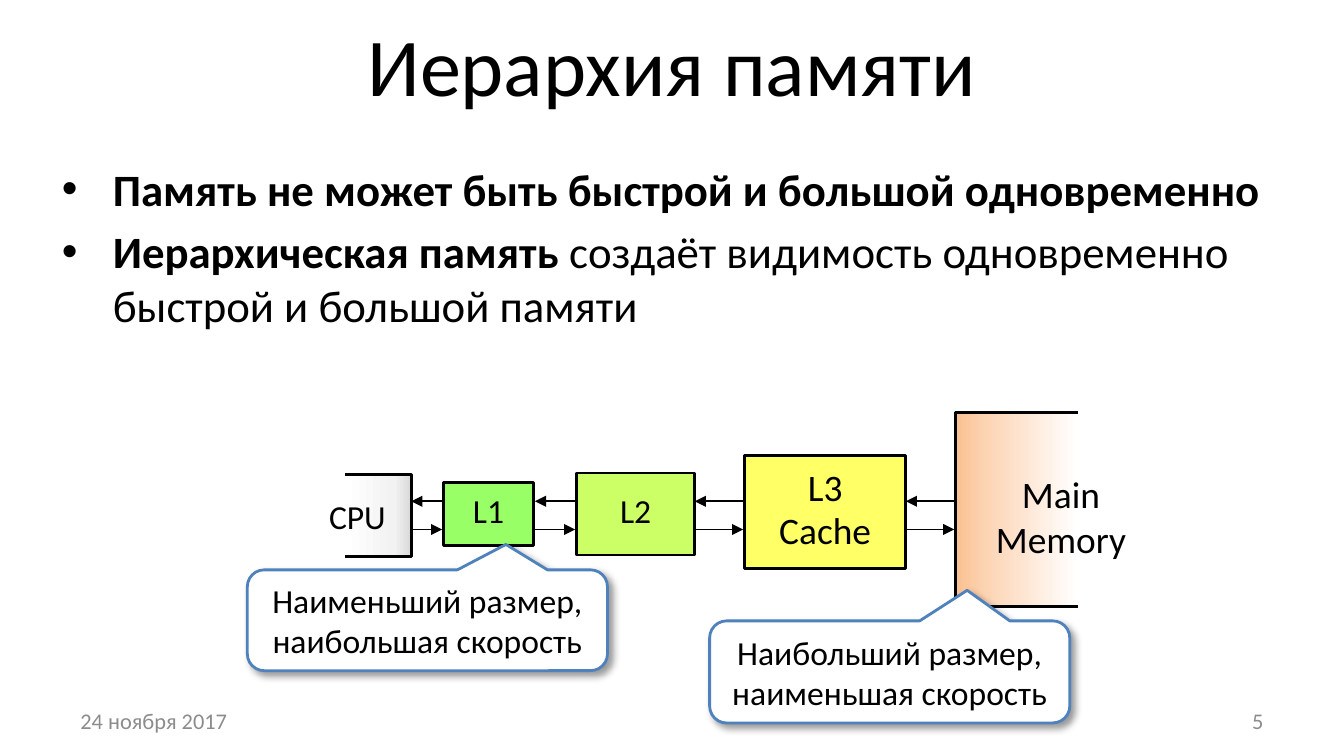
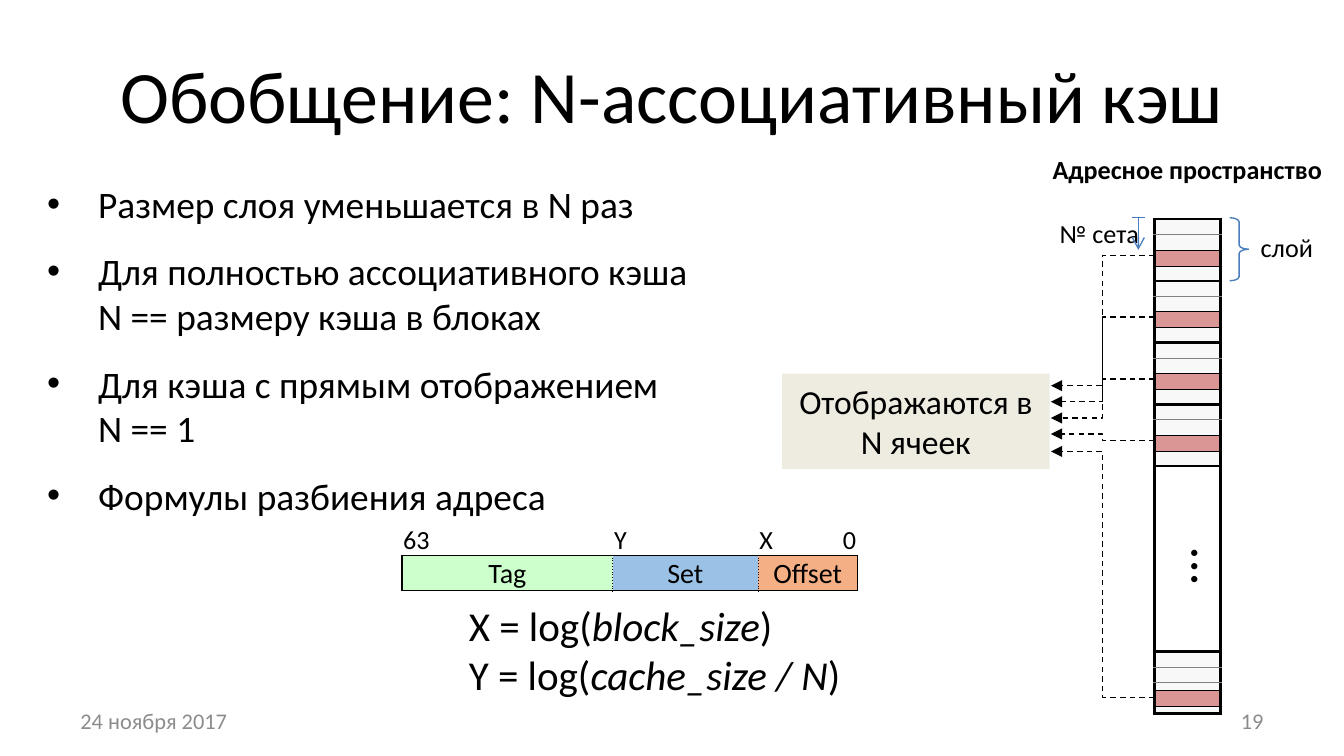
import collections
import dataclasses

import lxml.etree
import pptx
import pptx.dml.color
import pptx.enum.dml
import pptx.enum.shapes
import pptx.enum.text
import pptx.oxml.ns
import pptx.util

PX = 9144  # EMU per px, 100 px to the inch
SHAPE = pptx.enum.shapes.MSO_SHAPE
CONNECTOR = pptx.enum.shapes.MSO_CONNECTOR
ALIGN = pptx.enum.text.PP_ALIGN
ANCHOR = pptx.enum.text.MSO_ANCHOR
DASH = pptx.enum.dml.MSO_LINE.DASH
NO_STYLE_TABLE = "{2D5ABB26-0587-4C30-8999-92F81FD0307C}"

Box = collections.namedtuple("Box", "left top width height")


@dataclasses.dataclass(frozen=True)
class Theme:
    font: str = "Calibri"
    ink: str = "000000"
    paper: str = "FFFFFF"
    muted: str = "8C8C8C"
    accent: str = "4F81BD"
    marker: str = "4B7EBC"
    grid: str = "808080"
    layer: str = "F8F8F8"
    block: str = "D99694"
    note: str = "EEECE1"
    levels: tuple = ("99FF66", "CCFF66", "FFFF66")
    fields: tuple = ("CCFFCC", "9BC2E6", "F4B084")
    cpu: tuple = ((0, "FFFFFF"), (74, "F2F2F2"), (100, "D9D9D9"))
    memory: tuple = ((0, "FFFFFF"), (74, "FCD5B5"), (100, "FAC090"))
    title: float = 44
    long_title: float = 39.6
    lead: float = 24
    formula: float = 22
    body: float = 20
    label: float = 18
    field: float = 15
    small: float = 14
    footer: float = 12
    dots: float = 28
    empty: float = 4


THEME = Theme()


# Shared helpers

def px(value):
    return pptx.util.Emu(round(value * PX))


def inside(box, left, top, width, height):
    return Box(box.left + left, box.top + top, width, height)


def emu(box):
    return [px(value) for value in box]


def rgb(color):
    return pptx.dml.color.RGBColor.from_string(color)


def add_xml(parent, tag, **attributes):
    return lxml.etree.SubElement(parent, pptx.oxml.ns.qn(tag), attributes)


def add_color(parent, color):
    return add_xml(parent, "a:srgbClr", val=color)


def write(frame, paragraphs, size, align=ALIGN.LEFT, color=THEME.ink,
          gap=0, spacing=None, bullet=False):
    """Each paragraph is a text or a list of (text, style); style holds b and i."""
    for index, runs in enumerate(paragraphs):
        paragraph = frame.add_paragraph() if index else frame.paragraphs[0]
        paragraph.alignment = align
        if bullet:
            properties = paragraph._p.get_or_add_pPr()
            properties.set("marL", str(px(38)))
            properties.set("indent", str(px(-38)))
            add_xml(properties, "a:buChar", char="•")
        paragraph.space_before = pptx.util.Pt(gap if index else 0)
        if spacing:
            paragraph.line_spacing = spacing
        for text, style in [(runs, "")] if isinstance(runs, str) else runs:
            for number, line in enumerate(text.split("\n")):
                if number:
                    paragraph.add_line_break()
                run = paragraph.add_run()
                run.text = line
                run.font.name = THEME.font
                run.font.size = pptx.util.Pt(size)
                run.font.bold = "b" in style
                run.font.italic = "i" in style
                run.font.color.rgb = rgb(color)


def add_text(slide, box, paragraphs, size, anchor=ANCHOR.TOP, wrap=True, **options):
    shape = slide.shapes.add_textbox(*emu(box))
    shape.text_frame.word_wrap = wrap
    shape.text_frame.vertical_anchor = anchor
    write(shape.text_frame, paragraphs, size, **options)
    return shape


def paint(shape, fill=None, line=None, weight=1.5):
    shape.shadow.inherit = False
    if fill:
        shape.fill.solid()
        shape.fill.fore_color.rgb = rgb(fill)
    else:
        shape.fill.background()
    if line:
        shape.line.color.rgb = rgb(line)
        shape.line.width = pptx.util.Pt(weight)
    else:
        shape.line.fill.background()


def add_shape(slide, kind, box, fill=None, line=None, weight=1.5):
    shape = slide.shapes.add_shape(kind, *emu(box))
    paint(shape, fill, line, weight)
    shape.text_frame.vertical_anchor = ANCHOR.MIDDLE
    return shape


def add_line(slide, start, end, color=THEME.ink, weight=1, arrow=None,
             dash=None, kind=CONNECTOR.STRAIGHT):
    line = slide.shapes.add_connector(kind, *emu(start + end))
    line.line.color.rgb = rgb(color)
    line.line.width = pptx.util.Pt(weight)
    if dash:
        line.line.dash_style = dash
    if arrow:
        add_xml(line.line._get_or_add_ln(), "a:tailEnd", type=arrow)
    add_xml(line._element.spPr, "a:effectLst")


def add_table(slide, box, row_heights, column_widths):
    frame = slide.shapes.add_table(len(row_heights), len(column_widths), *emu(box))
    table = frame.table
    table.first_row = table.horz_banding = False
    table._tbl.tblPr.find(pptx.oxml.ns.qn("a:tableStyleId")).text = NO_STYLE_TABLE
    for row, height in zip(table.rows, row_heights):
        row.height = px(height)
    for column, width in zip(table.columns, column_widths):
        column.width = px(width)
    return table


def format_cell(cell, fill, margin=0, **borders):
    """Borders L, R, T, B are (colour, points), (colour, points, dash) or None."""
    cell.margin_left = cell.margin_right = cell.margin_top = px(margin)
    cell.margin_bottom = 0
    cell.vertical_anchor = ANCHOR.MIDDLE
    properties = cell._tc.get_or_add_tcPr()
    for side in "LRTB":
        if borders.get(side):
            color, weight, *dash = borders[side]
            line = add_xml(properties, "a:ln" + side, w=str(pptx.util.Pt(weight)))
            add_color(add_xml(line, "a:solidFill"), color)
            add_xml(line, "a:prstDash", val=dash[0] if dash else "solid")
        elif side in borders:
            add_xml(add_xml(properties, "a:ln" + side, w="0"), "a:noFill")
    cell.fill.solid()
    cell.fill.fore_color.rgb = rgb(fill)


def shrink_empty(cell):
    add_xml(cell.text_frame.paragraphs[0]._p, "a:endParaRPr", sz=str(THEME.empty * 100))


# Title, list and footer

def add_frame(presentation, title, title_box, title_size, number,
              items, list_box, list_size, gap):
    slide = presentation.slides.add_slide(presentation.slide_layouts[1])
    for shape, box in ((slide.shapes.title, title_box), (slide.placeholders[1], list_box)):
        shape.left, shape.top, shape.width, shape.height = emu(box)
        shape.text_frame.auto_size = pptx.enum.text.MSO_AUTO_SIZE.NONE
    slide.shapes.title.text_frame.vertical_anchor = ANCHOR.MIDDLE
    write(slide.shapes.title.text_frame, [title], title_size, ALIGN.CENTER)
    write(slide.placeholders[1].text_frame, items, list_size, gap=gap, bullet=True)
    for left, text, align in ((50, "24 ноября 2017", ALIGN.LEFT), (717, number, ALIGN.RIGHT)):
        add_text(slide, Box(left, 521, 233, 30), [text], THEME.footer,
                 ANCHOR.MIDDLE, align=align, color=THEME.muted)
    return slide


# Memory hierarchy

def add_open_block(slide, box, stops, rotation=0):
    """Block with no left edge, shaded towards its right one."""
    left, top, width, height = emu(box)
    builder = slide.shapes.build_freeform(left, top)
    builder.add_line_segments([(left + width, top), (left + width, top + height),
                               (left, top + height)], close=False)
    shape = builder.convert_to_shape()
    paint(shape, THEME.paper, THEME.ink)
    shape.fill.gradient()
    shape.fill.gradient_angle = 0
    stop_list = shape._element.spPr.find(".//" + pptx.oxml.ns.qn("a:gsLst"))
    for stop in list(stop_list):
        stop_list.remove(stop)
    for position, color in stops:
        add_color(add_xml(stop_list, "a:gs", pos=str(position * 1000)), color)
    shape.rotation = rotation


def add_hierarchy(slide, box):
    add_open_block(slide, inside(box, 22, 46, 49, 61), THEME.cpu)
    add_open_block(slide, inside(box, 476, 0, 91, 144), THEME.memory, 180)
    levels = ((["L1"], (95, 52, 67, 47), THEME.label),
              (["L2"], (194, 45, 88, 61), THEME.label),
              (["L3", "Cache"], (319, 32, 120, 84), THEME.body))
    for (lines, area, size), fill in zip(levels, THEME.levels):
        shape = add_shape(slide, SHAPE.RECTANGLE, inside(box, *area), fill, THEME.ink)
        shape.text_frame.word_wrap = False
        write(shape.text_frame, lines, size, ALIGN.CENTER, gap=size / 5, spacing=0.8)
    # Arrows both ways between neighbours
    upper, lower = box.top + 66, box.top + 87
    for start, end in ((71, 94), (163, 193), (282, 318), (439, 475)):
        start, end = box.left + start, box.left + end
        add_line(slide, (start, lower), (end, lower), arrow="triangle")
        add_line(slide, (end, upper), (start, upper), arrow="triangle")
    add_text(slide, inside(box, 0, 57, 63, 40), ["CPU"], THEME.label, ANCHOR.MIDDLE, wrap=False)
    add_text(slide, inside(box, 493, 39, 123, 77), ["Main Memory"], THEME.body,
             align=ALIGN.CENTER)


def add_callout(slide, box, text, tip):
    shape = add_shape(slide, SHAPE.ROUNDED_RECTANGULAR_CALLOUT, box, THEME.paper, THEME.accent)
    for index, value in enumerate((*tip, 0.167)):
        shape.adjustments[index] = value
    effects = shape._element.spPr.find(pptx.oxml.ns.qn("a:effectLst"))
    shadow = add_xml(effects, "a:outerShdw", blurRad=str(pptx.util.Pt(4)),
                     dist=str(pptx.util.Pt(3)), dir="2700000", algn="tl", rotWithShape="0")
    add_xml(add_color(shadow, THEME.ink), "a:alpha", val="40000")
    shape.text_frame.word_wrap = True
    write(shape.text_frame, [text], THEME.label, ALIGN.CENTER)


# Address split

def add_address_fields(slide, box):
    table = add_table(slide, box, (23, 26), (157, 54, 54, 37, 37))
    solid, dotted = (THEME.ink, 1), (THEME.ink, 0.5, "sysDot")
    for column, text in enumerate(("63", "Y", "", "X", "0")):
        cell = table.cell(0, column)
        format_cell(cell, THEME.paper, 1, B=solid)
        if text:
            write(cell.text_frame, [text], THEME.small,
                  ALIGN.RIGHT if column == 4 else ALIGN.LEFT)
        else:
            shrink_empty(cell)
    fields = (("Tag", 0, 0, solid, dotted), ("Set", 1, 2, dotted, dotted),
              ("Offset", 3, 4, dotted, solid))
    for (text, first, last, left, right), fill in zip(fields, THEME.fields):
        cell = table.cell(1, first)
        if last > first:
            cell.merge(table.cell(1, last))
        format_cell(cell, fill, 1, L=left, R=right, T=solid, B=solid)
        write(cell.text_frame, [text], THEME.field, ALIGN.CENTER)


# Address space

def row_edge(index):
    if index in (0, 4, 8, 12, 16, 28, 32):
        return THEME.ink, 1.5
    return None if 16 < index < 28 else (THEME.grid, 0.5)


def add_address_space(slide, box):
    side = (THEME.ink, 1.5)
    memory = inside(box, 92, 54, 49, 368)
    table = add_table(slide, memory, [memory.height / 32] * 32, [memory.width])
    for row in range(32):
        cell = table.cell(row, 0)
        format_cell(cell, THEME.paper if 16 <= row < 28 else THEME.layer,
                    L=side, R=side, T=row_edge(row), B=row_edge(row + 1))
        shrink_empty(cell)
    dots = add_text(slide, inside(box, 85, 284, 47, 57), ["…"], THEME.dots, wrap=False)
    dots.rotation = 270
    # One block of the set in each layer, linked to its cell in the cache
    thin = (THEME.ink, 0.5)
    links = ((23, 27, 178), (69, 73, 190), (115, 119, 202), (161, 165, 214), (351, 356, 227))
    for top, start, end in links:
        block = inside(memory, 0, top, memory.width, 12)
        cell = add_table(slide, block, [12], [memory.width]).cell(0, 0)
        format_cell(cell, THEME.block, L=side, R=side, T=thin, B=thin)
        shrink_empty(cell)
        add_line(slide, (memory.left, memory.top + start), (box.left + 15, box.top + end),
                 weight=0.75, arrow="triangle", dash=DASH, kind=CONNECTOR.ELBOW)
    # Labels
    add_text(slide, inside(box, 0, 0, 233, 34), [[("Адресное пространство", "b")]],
             THEME.small, align=ALIGN.CENTER)
    brace = add_shape(slide, SHAPE.RIGHT_BRACE, inside(box, 148, 53, 14, 47),
                      line=THEME.marker, weight=0.75)
    brace.adjustments[0] = 0.222
    for text, area, wrap in (("слой", (160, 63, 61, 29), True), ("№ сета", (11, 53, 80, 28), False)):
        add_text(slide, inside(box, *area), [text], THEME.small, ANCHOR.MIDDLE, wrap,
                 align=ALIGN.CENTER, spacing=0.75)
    x, y = box.left + 80, box.top + 53
    add_line(slide, (x, y), (x, y + 24), THEME.marker, 0.75, "arrow")
    add_line(slide, (x + 5, y), (x - 5, y), THEME.marker, 0.75)


# Slides

def add_hierarchy_slide(presentation):
    items = [[("Память не может быть быстрой и большой одновременно", "b")],
             [("Иерархическая память ", "b"),
              ("создаёт видимость одновременно быстрой и большой памяти", "")]]
    slide = add_frame(presentation, "Иерархия памяти", Box(50, 0, 900, 94), THEME.title, "5",
                      items, Box(36, 115, 932, 277), THEME.lead, THEME.lead / 5)
    add_hierarchy(slide, Box(235, 307, 616, 144))
    add_callout(slide, Box(184, 424, 268, 75), "Наименьший размер, наибольшая скорость",
                (0.218, -0.752))
    add_callout(slide, Box(528, 462, 268, 76), "Наибольший размер, наименьшая скорость",
                (0.215, -0.799))


def add_associative_slide(presentation):
    items = ["Размер слоя уменьшается в N раз",
             "Для полностью ассоциативного кэша\nN == размеру кэша в блоках",
             "Для кэша с прямым отображением\nN == 1",
             "Формулы разбиения адреса"]
    slide = add_frame(presentation, "Обобщение: N-ассоциативный кэш", Box(50, 23, 900, 94),
                      THEME.long_title, "19", items, Box(25, 130, 517, 323), THEME.body, 12)
    add_address_fields(slide, Box(299, 389, 339, 49))
    add_text(slide, Box(339, 442, 353, 84),
             [[("X = log(", ""), ("block_size", "i"), (")", "")],
              [("Y = log(", ""), ("cache_size / N", "i"), (")", "")]], THEME.formula)
    add_address_space(slide, Box(767, 109, 233, 422))
    note = add_shape(slide, SHAPE.RECTANGLE, Box(582, 278, 199, 71), THEME.note)
    note.text_frame.word_wrap = True
    write(note.text_frame, ["Отображаются в N ячеек"], THEME.label, ALIGN.CENTER)


def main():
    presentation = pptx.Presentation()
    presentation.slide_width = px(1000)
    presentation.slide_height = px(1000 * 9 / 16)
    add_hierarchy_slide(presentation)
    add_associative_slide(presentation)
    presentation.save("out.pptx")


if __name__ == "__main__":
    main()
